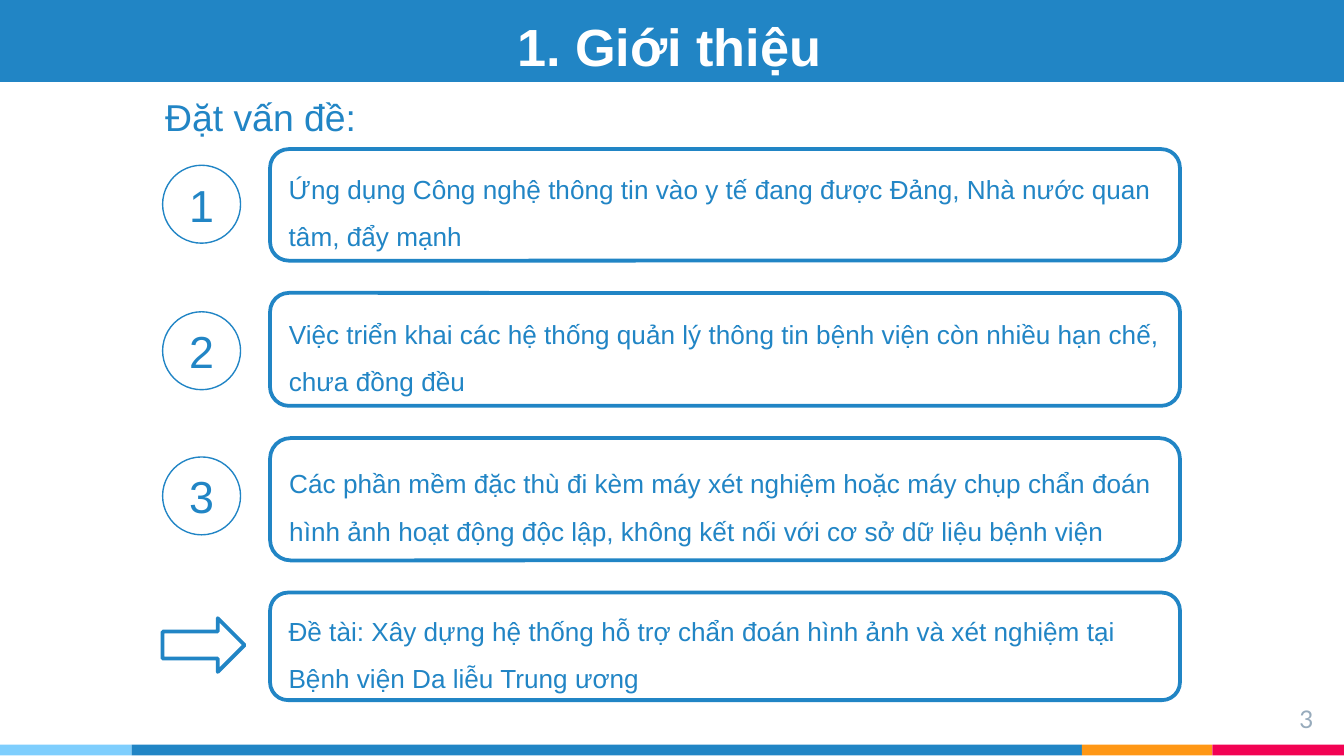
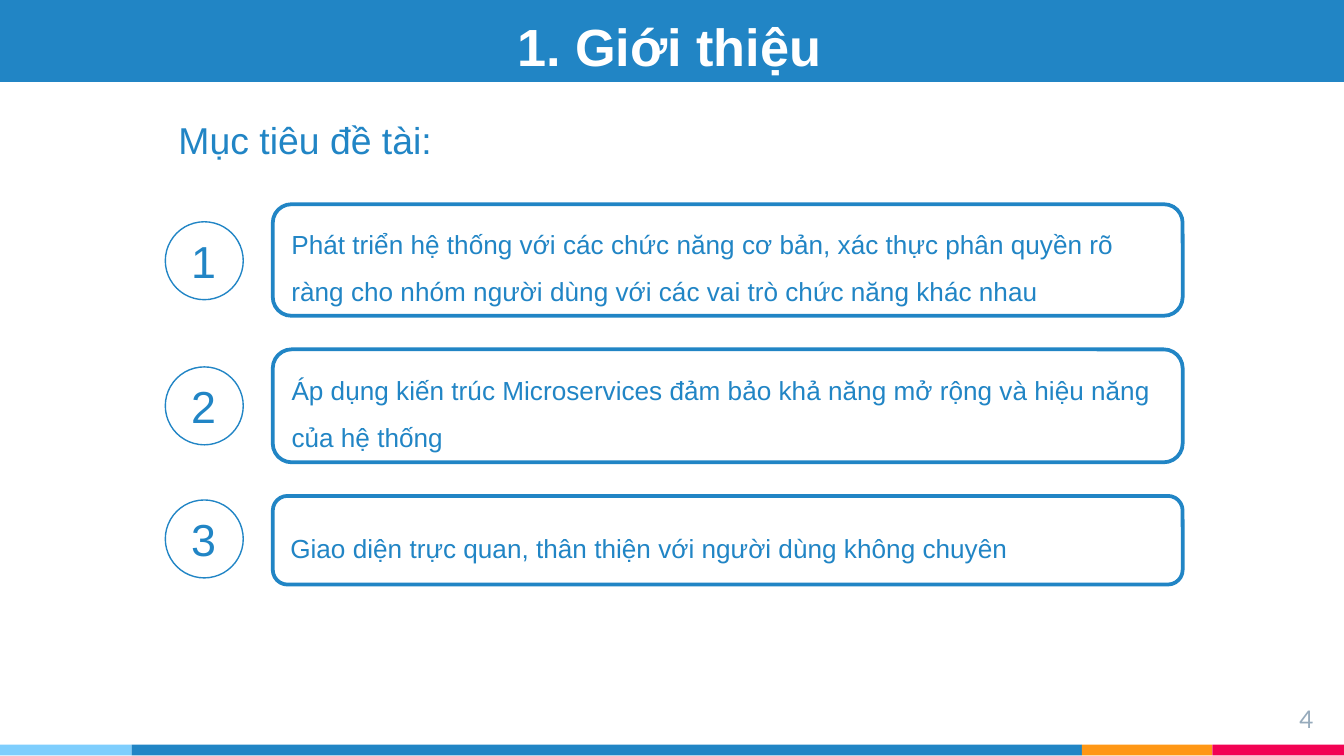
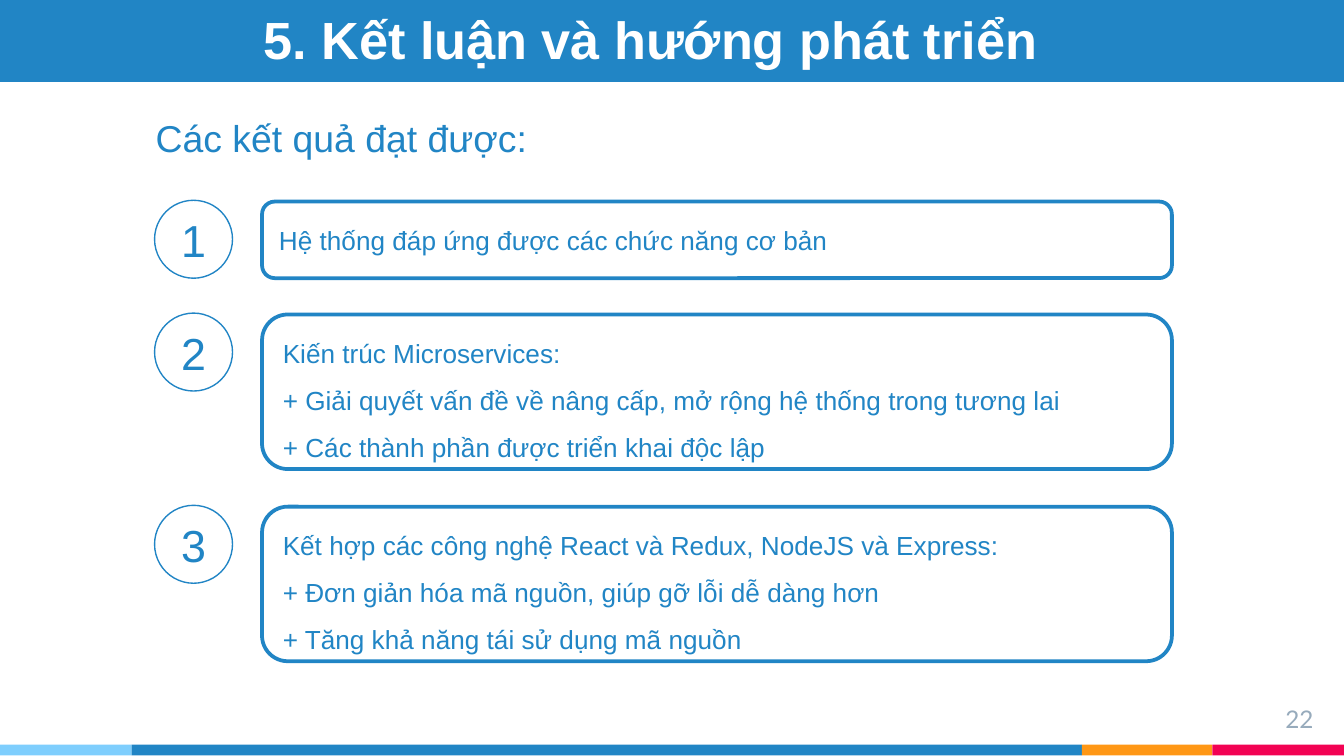
"""Build three slides of numbered statements under a shared title band and footer."""
import pptx
import pptx.dml.color
import pptx.enum.shapes
import pptx.enum.text
import pptx.util

Inches = pptx.util.Inches
Pt = pptx.util.Pt
SHAPE = pptx.enum.shapes.MSO_SHAPE
ALIGN = pptx.enum.text.PP_ALIGN
ANCHOR = pptx.enum.text.MSO_ANCHOR
AUTO = pptx.enum.text.MSO_AUTO_SIZE

COLORS = {
    "blue": "2185C5",
    "sky": "7ECEFD",
    "orange": "FF9715",
    "pink": "F20253",
    "gray": "97ABBC",
    "white": "FFFFFF",
}
FOOTER_BANDS = [("sky", 0.98), ("blue", 7.07), ("orange", 0.97), ("pink", 0.98)]
BOX_WIDTH = 6.77
CIRCLE_SIZE = 0.58
MARKER_OFFSET = 0.8

SLIDES = [
    {
        "title": "1. Giới thiệu",
        "title_at": (3.75, 0.06, 2.5, 0.61),
        "heading": "Đặt vấn đề:",
        "heading_at": (1.13, 0.65, 1.63, 0.44),
        "number": "3",
        "box_left": 2.01,
        "rows": [
            (1.23, 1.11, 0.83, 1.5, ["Ứng dụng Công nghệ thông tin vào y tế đang được Đảng, Nhà nước quan tâm, đẩy mạnh"]),
            (2.32, 2.18, 0.84, 1.5, ["Việc triển khai các hệ thống quản lý thông tin bệnh viện còn nhiều hạn chế, chưa đồng đều"]),
            (3.4, 3.26, 0.91, 1.5, ["Các phần mềm đặc thù đi kèm máy xét nghiệm hoặc máy chụp chẩn đoán hình ảnh hoạt động độc lập, không kết nối với cơ sở dữ liệu bệnh viện"]),
        ],
        "conclusion": (4.6, 4.41, 0.8, 1.5, ["Đề tài: Xây dựng hệ thống hỗ trợ chẩn đoán hình ảnh và xét nghiệm tại Bệnh viện Da liễu Trung ương"]),
    },
    {
        "title": "1. Giới thiệu",
        "title_at": (3.75, 0.06, 2.5, 0.61),
        "heading": "Mục tiêu đề tài:",
        "heading_at": (1.23, 0.82, 2.1, 0.44),
        "number": "4",
        "box_left": 2.03,
        "rows": [
            (1.65, 1.52, 0.83, 1.5, ["Phát triển hệ thống với các chức năng cơ bản, xác thực phân quyền rõ ràng cho nhóm người dùng với các vai trò chức năng khác nhau"]),
            (2.73, 2.6, 0.84, 1.5, ["Áp dụng kiến trúc Microservices đảm bảo khả năng mở rộng và hiệu năng của hệ thống"]),
            (3.72, 3.69, 0.66, 1.5, ["Giao diện trực quan, thân thiện với người dùng không chuyên"]),
        ],
    },
    {
        "title": "5. Kết luận và hướng phát triển",
        "title_at": (1.86, 0.01, 6.28, 0.61),
        "heading": "Các kết quả đạt được:",
        "heading_at": (1.06, 0.81, 2.99, 0.44),
        "number": "22",
        "box_left": 1.95,
        "rows": [
            (1.49, 1.5, 0.57, 1.0, ["Hệ thống đáp ứng được các chức năng cơ bản"]),
            (2.33, 2.34, 1.15, 1.5, [
                "Kiến trúc Microservices:",
                "+ Giải quyết vấn đề về nâng cấp, mở rộng hệ thống trong tương lai",
                "+ Các thành phần được triển khai độc lập",
            ]),
            (3.76, 3.77, 1.15, 1.5, [
                "Kết hợp các công nghệ React và Redux, NodeJS và Express:",
                "+ Đơn giản hóa mã nguồn, giúp gỡ lỗi dễ dàng hơn",
                "+ Tăng khả năng tái sử dụng mã nguồn",
            ]),
        ],
    },
]


def rgb(name):
    return pptx.dml.color.RGBColor.from_string(COLORS[name])


def write(tf, lines, size, color="blue", font="Arial", bold=False, align=ALIGN.LEFT, spacing=1.0):
    for i, line in enumerate(lines):
        p = tf.paragraphs[0] if i == 0 else tf.add_paragraph()
        p.alignment = align
        p.line_spacing = spacing
        r = p.add_run()
        r.text = line
        r.font.size = Pt(size)
        r.font.name = font
        r.font.bold = bold
        r.font.color.rgb = rgb(color)


def set_margins(tf, size):
    tf.margin_left = tf.margin_right = tf.margin_top = tf.margin_bottom = Inches(size)


def add_shape(s, kind, at, fill=None, line=None):
    sp = s.shapes.add_shape(kind, *map(Inches, at))
    sp.shadow.inherit = False
    if fill:
        sp.fill.solid()
        sp.fill.fore_color.rgb = rgb(fill)
    else:
        sp.fill.background()
    if line:
        sp.line.color.rgb = rgb("blue")
        sp.line.width = Pt(line)
    else:
        sp.line.fill.background()
    return sp


def add_footer(s, number):
    left = 0
    for color, width in FOOTER_BANDS:
        add_shape(s, SHAPE.RECTANGLE, (left, 5.54, width, 0.08), color)
        left += width
    sp = s.shapes.add_textbox(*map(Inches, (9.27, 5.14, 0.6, 0.34)))
    tf = sp.text_frame
    tf.word_wrap = True
    set_margins(tf, 0.1)
    write(tf, [number], 13, "gray", "Lato", align=ALIGN.RIGHT)


def add_title(s, text, at):
    band = add_shape(s, SHAPE.RECTANGLE, (0, 0, 10, 0.6), "blue", 2)
    title = s.shapes.title
    title.element.addprevious(band.element)
    title.left, title.top, title.width, title.height = map(Inches, at)
    tf = title.text_frame
    tf.auto_size = AUTO.NONE
    tf.word_wrap = True
    tf.vertical_anchor = ANCHOR.BOTTOM
    set_margins(tf, 0.1)
    write(tf, [text], 28, "white", bold=True)


def add_heading(s, text, at):
    sp = s.shapes.add_textbox(*map(Inches, at))
    tf = sp.text_frame
    tf.word_wrap = False
    tf.auto_size = AUTO.SHAPE_TO_FIT_TEXT
    write(tf, [text], 20)


def add_circle(s, label, left, top):
    sp = add_shape(s, SHAPE.OVAL, (left, top, CIRCLE_SIZE, CIRCLE_SIZE), line=0.75)
    sp.text_frame.vertical_anchor = ANCHOR.MIDDLE
    write(sp.text_frame, [label], 24, align=ALIGN.CENTER)


def add_statement(s, left, top, height, spacing, lines):
    sp = add_shape(s, SHAPE.ROUNDED_RECTANGLE, (left, top, BOX_WIDTH, height), "white", 2)
    tf = sp.text_frame
    tf.word_wrap = True
    tf.vertical_anchor = ANCHOR.MIDDLE
    write(tf, lines, 14, spacing=spacing)


def add_content_slide(prs, content):
    s = prs.slides.add_slide(prs.slide_layouts[5])
    add_footer(s, content["number"])
    add_title(s, content["title"], content["title_at"])
    add_heading(s, content["heading"], content["heading_at"])
    left = content["box_left"]
    marker_left = left - MARKER_OFFSET
    for i, (marker_top, *box) in enumerate(content["rows"], 1):
        add_circle(s, str(i), marker_left, marker_top)
        add_statement(s, left, *box)
    if "conclusion" in content:
        marker_top, *box = content["conclusion"]
        add_shape(s, SHAPE.RIGHT_ARROW, (marker_left, marker_top, 0.61, 0.4), "white", 2)
        add_statement(s, left, *box)


def main():
    prs = pptx.Presentation()
    prs.slide_width = Inches(10)
    prs.slide_height = Inches(10 * 9 / 16)
    for content in SLIDES:
        add_content_slide(prs, content)
    prs.save("out.pptx")


if __name__ == "__main__":
    main()
